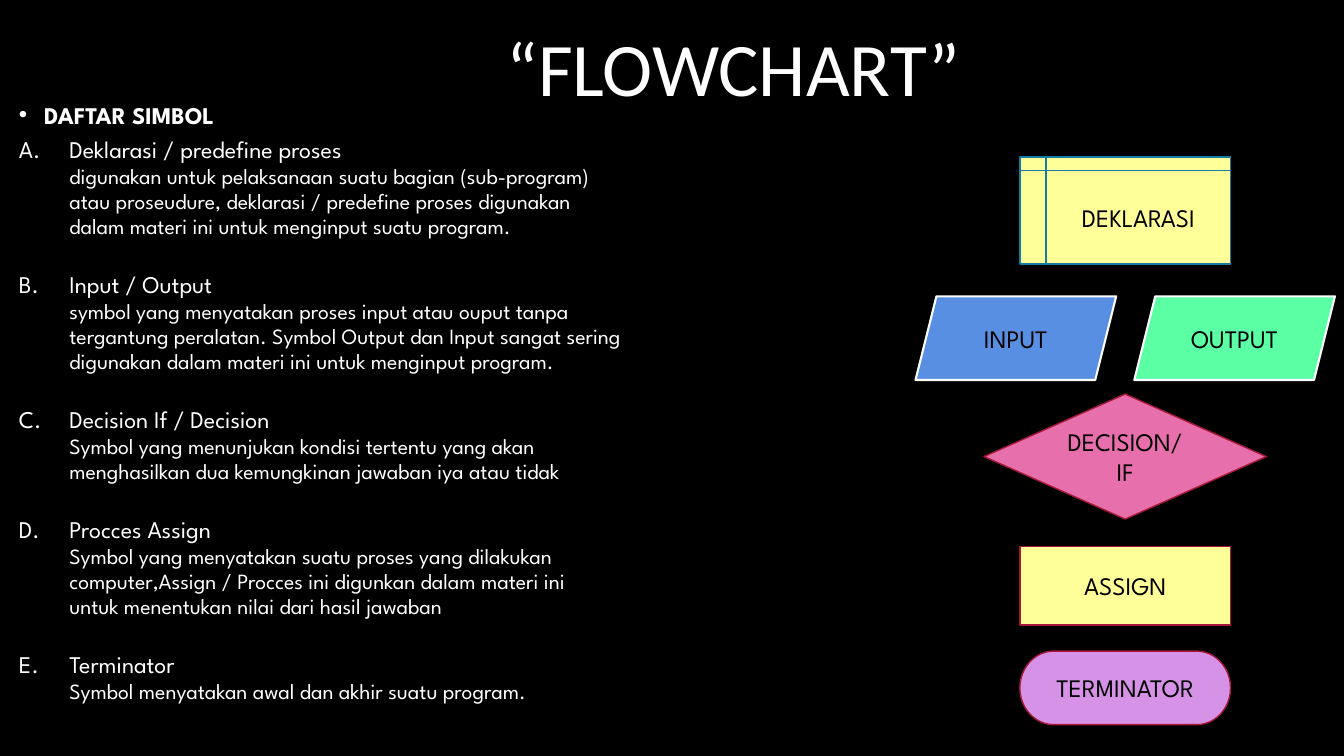
from lxml import etree
from pptx import Presentation
from pptx import util as u
from pptx.dml.color import RGBColor
from pptx.enum import shapes, text
from pptx.oxml import ns

COLORS = {
    "black": "000000", "white": "FFFFFF", "yellow": "FFFF99", "blue": "588FE2",
    "green": "5BFFA4", "pink": "E76FAB", "violet": "D692E7",
    "teal_line": "127CA4", "red_line": "A71838",
}
SPARTAN = "League Spartan"
HEADING_SIZE, DETAIL_SIZE = 17.1, 15.5

SYMBOLS = [
    ("Deklarasi / predefine proses", [
        "digunakan untuk pelaksanaan suatu bagian (sub-program)",
        "atau proseudure, deklarasi / predefine proses digunakan",
        "dalam materi ini untuk menginput suatu program."]),
    ("Input / Output", [
        "symbol yang menyatakan proses input atau ouput tanpa",
        "tergantung peralatan. Symbol Output dan Input sangat sering",
        "digunakan dalam materi ini untuk menginput program."]),
    ("Decision If / Decision", [
        "Symbol yang menunjukan kondisi tertentu yang akan",
        "menghasilkan dua kemungkinan jawaban iya atau tidak"]),
    ("Procces Assign", [
        "Symbol yang menyatakan suatu proses yang dilakukan",
        "computer,Assign / Procces ini digunkan dalam materi ini",
        "untuk menentukan nilai dari hasil jawaban"]),
    ("Terminator", ["Symbol menyatakan awal dan akhir suatu program."]),
]


def rgb(name):
    return RGBColor.from_string(COLORS[name])


def add_run(paragraph, words, size, color, font=SPARTAN, bold=False):
    run = paragraph.add_run()
    run.text = words
    run.font.name = font
    run.font.size = u.Pt(size)
    run.font.bold = bold
    run.font.color.rgb = rgb(color)


def add_frame(slide, box):
    frame = slide.shapes.add_textbox(*map(u.Inches, box)).text_frame
    frame.word_wrap = True
    return frame


def set_bullet(paragraph, left, hanging, tag=None, **attributes):
    props = paragraph._p.get_or_add_pPr()
    props.set("marL", str(u.Inches(left)))
    props.set("indent", str(u.Inches(-hanging)))
    if tag:
        color = etree.SubElement(props, ns.qn("a:buClr"))
        etree.SubElement(color, ns.qn("a:srgbClr"), val=COLORS["white"])
        font = "Arial" if tag == "a:buChar" else "+mj-lt"
        etree.SubElement(props, ns.qn("a:buFont"), typeface=font)
    etree.SubElement(props, ns.qn(tag or "a:buNone"), **attributes)


def add_title(slide, box):
    frame = add_frame(slide, box)
    frame.vertical_anchor = text.MSO_ANCHOR.MIDDLE
    title = frame.paragraphs[0]
    title.alignment = text.PP_ALIGN.CENTER
    title.line_spacing = 0.9
    add_run(title, "“FLOWCHART”", 54, "white", "Calibri")


def add_symbol_list(slide, box):
    frame = add_frame(slide, box)

    def add_line(paragraph, words, size, before, bold=False):
        paragraph.line_spacing = 0.7
        paragraph.space_before = u.Pt(before)
        add_run(paragraph, words, size, "white", bold=bold)
        return paragraph

    caption = add_line(frame.paragraphs[0], "DAFTAR SIMBOL", HEADING_SIZE, 0, True)
    set_bullet(caption, 0.25, 0.25, "a:buChar", char="•")
    for number, (name, details) in enumerate(SYMBOLS, 1):
        before = 10 if number == 1 else 28
        heading = add_line(frame.add_paragraph(), name, HEADING_SIZE, before)
        set_bullet(heading, 0.5, 0.5, "a:buAutoNum",
                   type="alphaUcPeriod", startAt=str(number))
        for words in details:
            detail = add_line(frame.add_paragraph(), words, DETAIL_SIZE, 5)
            detail.level = 1
            set_bullet(detail, 0.5, 0)


def add_symbol(slide, kind, label, box, fill, line, weight=1):
    symbol = slide.shapes.add_shape(kind, *map(u.Inches, box))
    symbol.shadow.inherit = False
    symbol.fill.solid()
    symbol.fill.fore_color.rgb = rgb(fill)
    symbol.line.color.rgb = rgb(line)
    symbol.line.width = u.Pt(weight)
    frame = symbol.text_frame
    frame.word_wrap = True
    frame.vertical_anchor = text.MSO_ANCHOR.MIDDLE
    frame.paragraphs[0].alignment = text.PP_ALIGN.CENTER
    add_run(frame.paragraphs[0], label, 18, "black")


def add_symbol_column(slide, box):
    left, top, width, _ = box
    kinds = shapes.MSO_SHAPE
    center = left + width / 2

    def centered(offset, wide, high):
        return center - wide / 2, top + offset, wide, high

    add_symbol(slide, kinds.FLOWCHART_INTERNAL_STORAGE, "DEKLARASI",
               centered(0, 2.09, 1.06), "yellow", "teal_line")
    slant_width = 1.99
    for label, x, fill in (("INPUT", left, "blue"),
                           ("OUTPUT", left + width - slant_width, "green")):
        add_symbol(slide, kinds.PARALLELOGRAM, label,
                   (x, top + 1.38, slant_width, 0.83), fill, "white", 1.5)
    add_symbol(slide, kinds.DIAMOND, "DECISION/ IF",
               centered(2.35, 2.8, 1.24), "pink", "red_line")
    add_symbol(slide, kinds.RECTANGLE, "ASSIGN",
               centered(3.86, 2.09, 0.78), "yellow", "red_line")
    add_symbol(slide, kinds.FLOWCHART_TERMINATOR, "TERMINATOR",
               centered(4.9, 2.09, 0.73), "violet", "red_line")


def main():
    deck = Presentation()
    deck.slide_width, deck.slide_height = u.Inches(13.33), u.Inches(7.5)
    slide = deck.slides.add_slide(deck.slide_layouts[6])
    slide.background.fill.solid()
    slide.background.fill.fore_color.rgb = rgb("black")
    add_title(slide, (2.78, 0.18, 8.99, 1.06))
    add_symbol_list(slide, (0.09, 1.03, 13.24, 6.34))
    add_symbol_column(slide, (9.08, 1.56, 4.16, 5.63))
    deck.save("out.pptx")


if __name__ == "__main__":
    main()
